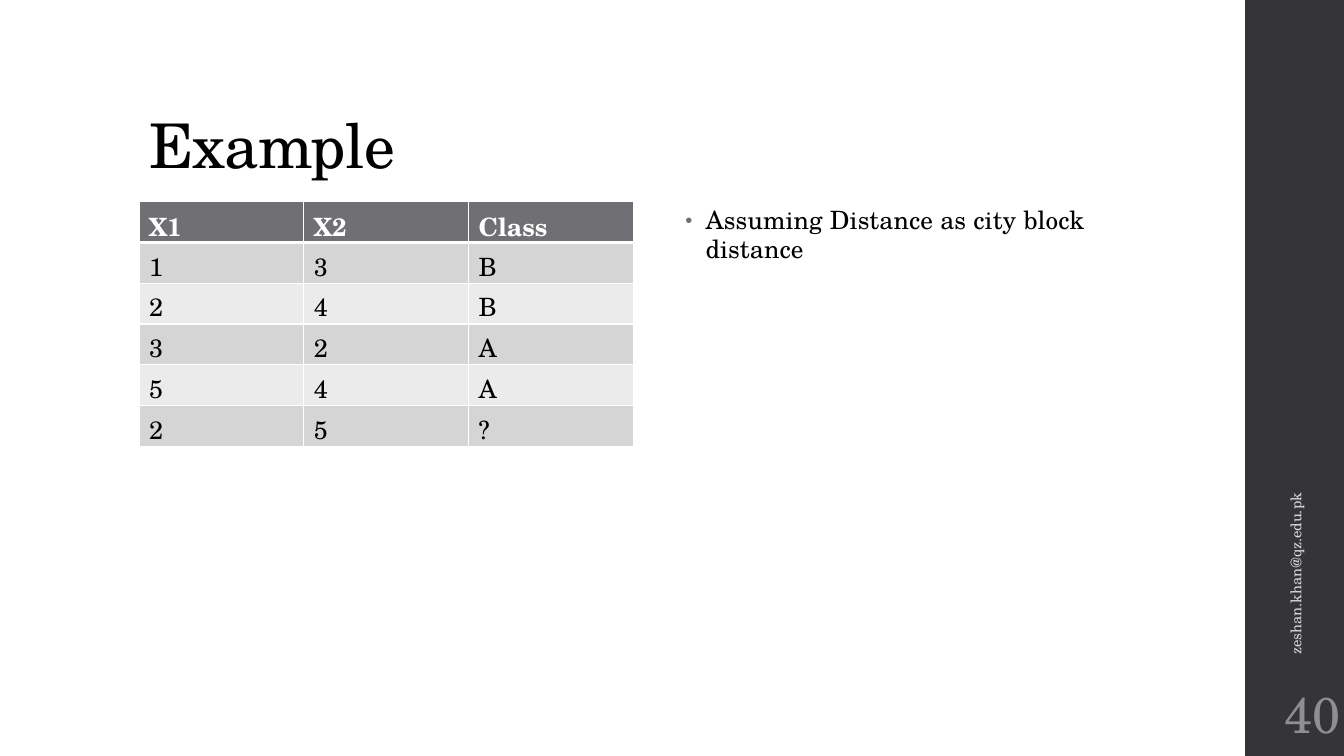
import pptx
import pptx.dml.color
import pptx.enum.shapes
import pptx.enum.text
import pptx.oxml
import pptx.oxml.ns
import pptx.util
from pptx.util import Inches

FONT = "TeX Gyre Schola"
ANCHOR = pptx.enum.text.MSO_ANCHOR
NAMESPACE = pptx.oxml.ns.nsdecls("a")
ROWS = [
    ["X1", "X2", "Class"],
    ["1", "3", "B"],
    ["2", "4", "B"],
    ["3", "2", "A"],
    ["5", "4", "A"],
    ["2", "5", "?"],
]


def color(value):
    """Turn a hex string into a colour."""
    return pptx.dml.color.RGBColor.from_string(value)


def style_paragraph(paragraph, size, hex_color, bold=False, tracking=0):
    """Set the font of a whole paragraph, with tracking in points."""
    font = paragraph.font
    font.name, font.size, font.bold = FONT, pptx.util.Pt(size), bold
    font.color.rgb = color(hex_color)
    if tracking:
        properties = paragraph._p.pPr.find(pptx.oxml.ns.qn("a:defRPr"))
        properties.set("spc", str(round(tracking * 100)))


def add_text(slide, box, text, size, hex_color, anchor=ANCHOR.TOP, tracking=0):
    """Add a wrapped one-paragraph text box and return it."""
    shape = slide.shapes.add_textbox(*map(Inches, box))
    frame = shape.text_frame
    frame.word_wrap, frame.vertical_anchor = True, anchor
    paragraph = frame.paragraphs[0]
    paragraph.text = text
    style_paragraph(paragraph, size, hex_color, tracking=tracking)
    return shape


def add_title(slide, box):
    """Add the heading at the bottom of its box."""
    shape = add_text(slide, box, "Example", 44, "000000", ANCHOR.BOTTOM, -0.5)
    shape.text_frame.paragraphs[0].line_spacing = 0.9


def style_cell(cell, row):
    """Give a cell its white borders, fill and font according to its row."""
    properties = cell._tc.get_or_add_tcPr()
    widths = {"L": 1, "R": 1, "T": 3 if row == 1 else 1, "B": 3 if row == 0 else 1}
    for side, width in widths.items():
        properties.append(pptx.oxml.parse_xml(
            f'<a:ln{side} {NAMESPACE} w="{pptx.util.Pt(width)}"><a:solidFill>'
            f'<a:srgbClr val="FFFFFF"/></a:solidFill></a:ln{side}>'))
    band = "D5D5D6" if row % 2 else "EBEBEB"
    cell.fill.solid()
    cell.fill.fore_color.rgb = color("6F6F74" if row == 0 else band)
    style_paragraph(cell.text_frame.paragraphs[0], 18,
                    "FFFFFF" if row == 0 else "000000", bold=row == 0)


def add_data_table(slide, box):
    """Add the table of points and their classes."""
    frame = slide.shapes.add_table(len(ROWS), len(ROWS[0]), *map(Inches, box))
    for row, values in enumerate(ROWS):
        for column, value in enumerate(values):
            cell = frame.table.cell(row, column)
            cell.text = value
            style_cell(cell, row)


def add_bullet_note(slide, box):
    """Add the bulleted remark."""
    shape = add_text(slide, box, "Assuming Distance as city block distance",
                     18, "000000", tracking=0.1)
    paragraph = shape.text_frame.paragraphs[0]
    paragraph.line_spacing = 0.95
    paragraph.space_before, paragraph.space_after = pptx.util.Pt(14), pptx.util.Pt(2)
    properties = paragraph._p.pPr
    properties.set("marL", str(Inches(0.2)))
    properties.set("indent", str(Inches(-0.2)))
    font_properties = properties.find(pptx.oxml.ns.qn("a:defRPr"))
    for bullet in (
        f'<a:buClr {NAMESPACE}><a:srgbClr val="6F6F74"/></a:buClr>',
        f'<a:buSzPct {NAMESPACE} val="80000"/>',
        f'<a:buFont {NAMESPACE} typeface="Arial"/>',
        f'<a:buChar {NAMESPACE} char="•"/>',
    ):
        font_properties.addprevious(pptx.oxml.parse_xml(bullet))


def add_sidebar(slide, box):
    """Add the dark band with the rotated address and the page number."""
    left, top, width, height = box
    band = slide.shapes.add_shape(pptx.enum.shapes.MSO_SHAPE.RECTANGLE, *map(Inches, box))
    band.shadow.inherit = False
    band.fill.solid()
    band.fill.fore_color.rgb = color("353537")
    band.line.fill.background()

    length, thickness = 3.92, 0.4
    address_box = (left + (width - length) / 2, top + 4.43, length, thickness)
    address = add_text(slide, address_box, "zeshan.khan@qz.edu.pk", 10.5, "D9D9DB", ANCHOR.MIDDLE)
    address.rotation = 270

    number_box = (left, top + height - 0.75, width, 0.65)
    number = add_text(slide, number_box, "40", 36, "8E8E94", ANCHOR.MIDDLE)
    frame = number.text_frame
    frame.margin_left = frame.margin_right = Inches(0.05)
    frame.paragraphs[0].alignment = pptx.enum.text.PP_ALIGN.RIGHT


def main():
    """Build and save the slide."""
    presentation = pptx.Presentation()
    presentation.slide_width, presentation.slide_height = Inches(13.33), Inches(7.5)
    slide = presentation.slides.add_slide(presentation.slide_layouts[6])
    add_sidebar(slide, (12.35, 0, 1, 7.5))
    add_title(slide, (1.38, 0.4, 10.6, 1.45))
    add_data_table(slide, (1.38, 2, 4.9, 2.43))
    add_bullet_note(slide, (6.7, 2, 4.9, 4.76))
    presentation.save("out.pptx")


if __name__ == "__main__":
    main()
